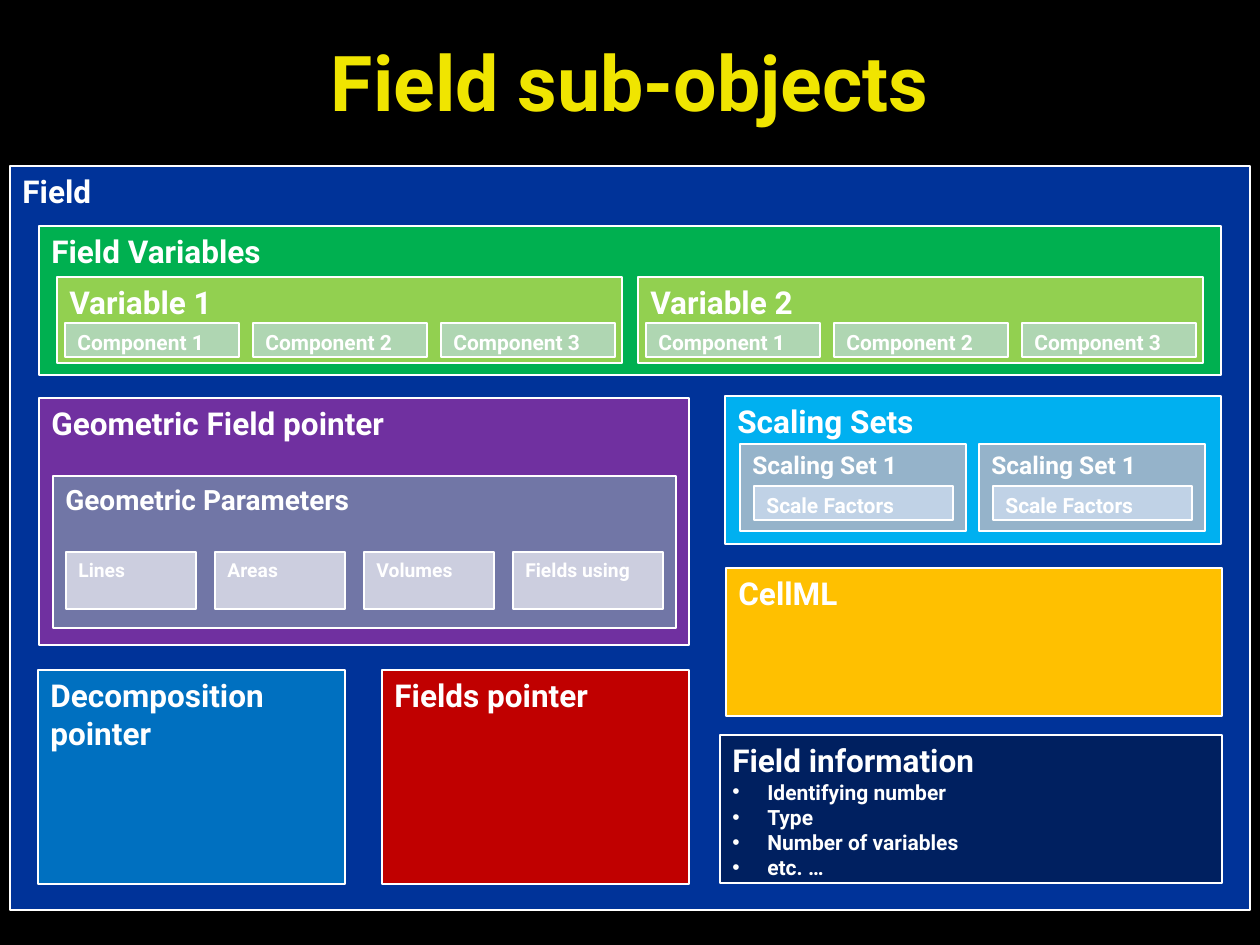
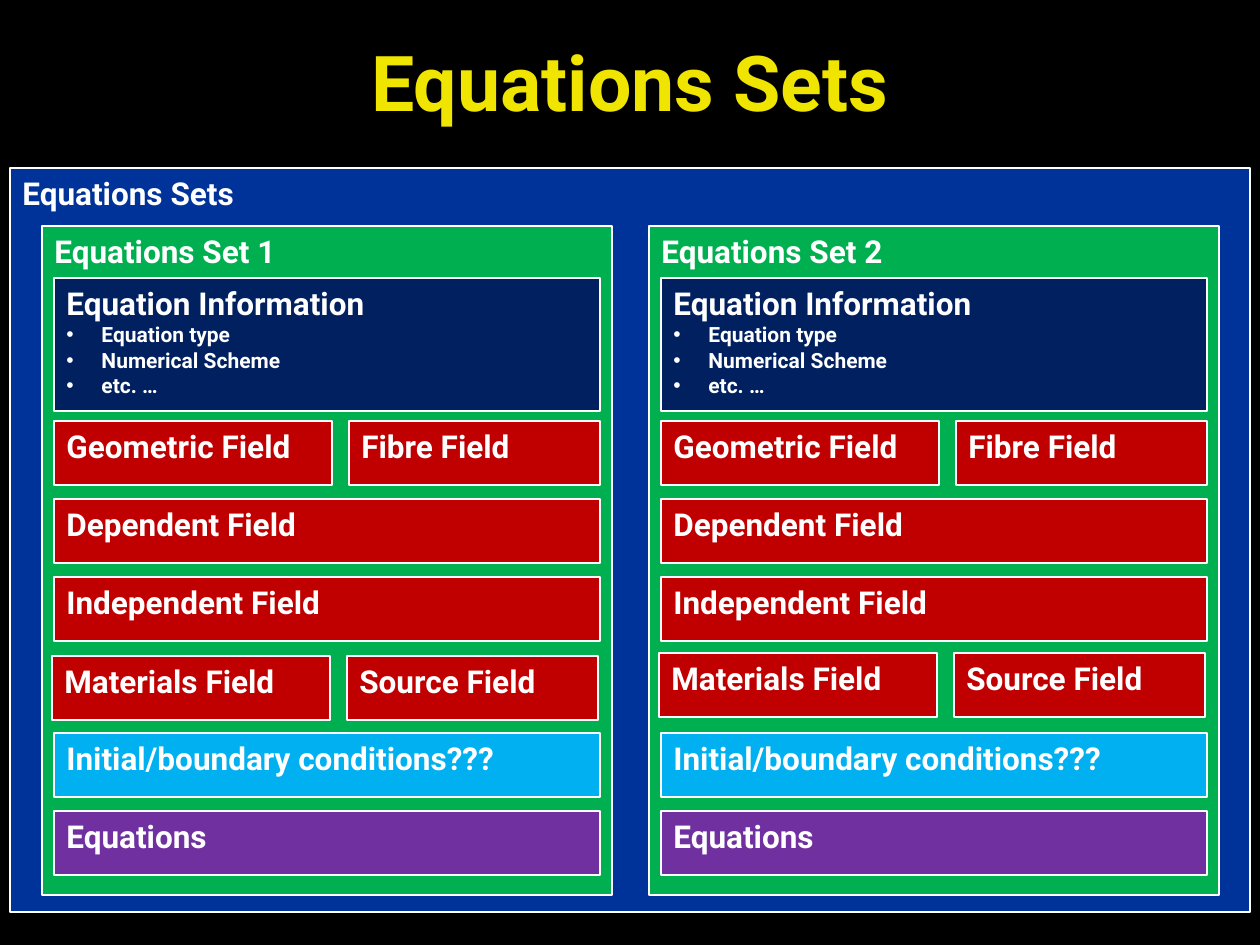
import pptx
import pptx.dml.color
import pptx.enum.shapes
import pptx.enum.text
import pptx.util
from lxml import etree
from pptx.oxml.ns import qn

PIXELS_PER_INCH = 126
FONT = "Roboto"
COLOURS = {
    "background": "000000",
    "title": "F0E500",
    "white": "FFFFFF",
    "container": "003399",
    "information": "002060",
    "field": "C00000",
    "decomposition": "0070C0",
    "purple": "7030A0",
    "parameters": "7176A6",
    "parameter": "CCCEDF",
    "green": "00B050",
    "variable": "92D050",
    "component": "AFD6B2",
    "sky": "00B0F0",
    "scaling set": "95B3CA",
    "scale factors": "C0D2E6",  # dark enough for its white label to be read
    "cellml": "FFC000",
}


def px(length):
    return pptx.util.Emu(round(length * 914400 / PIXELS_PER_INCH))


def colour(name):
    return pptx.dml.color.RGBColor.from_string(COLOURS[name])


def write_text(paragraph, text, size=18, color="white", align="LEFT", bullet=False):
    paragraph.alignment = getattr(pptx.enum.text.PP_ALIGN, align)
    if bullet:
        properties = paragraph._p.get_or_add_pPr()
        properties.set("marL", str(px(35)))
        properties.set("indent", str(-px(35)))
        etree.SubElement(properties, qn("a:buFont")).set("typeface", "Arial")
        etree.SubElement(properties, qn("a:buChar")).set("char", "•")
    run = paragraph.add_run()
    run.text = text
    run.font.name = FONT
    run.font.size = pptx.util.Pt(size)
    run.font.bold = True
    run.font.color.rgb = colour(color)


def add_titled_slide(presentation, title):
    slide = presentation.slides.add_slide(presentation.slide_layouts[5])
    shape = slide.shapes.title
    shape.left, shape.top, shape.width, shape.height = px(0), px(2), px(1260), px(158)
    frame = shape.text_frame
    frame.auto_size = pptx.enum.text.MSO_AUTO_SIZE.NONE
    frame.vertical_anchor = pptx.enum.text.MSO_ANCHOR.MIDDLE
    write_text(frame.paragraphs[0], title, size=44, color="title", align="CENTER")
    return slide


def add_box(slide, text, fill, left, top, width, height, size=18, bullets=()):
    """Draw a white-edged box with a heading and optional bullet lines."""
    shape = slide.shapes.add_shape(
        pptx.enum.shapes.MSO_SHAPE.RECTANGLE, px(left), px(top), px(width), px(height))
    shape.shadow.inherit = False
    shape.fill.solid()
    shape.fill.fore_color.rgb = colour(fill)
    shape.line.color.rgb = colour("white")
    shape.line.width = pptx.util.Pt(1)
    frame = shape.text_frame
    frame.word_wrap = True
    frame.vertical_anchor = pptx.enum.text.MSO_ANCHOR.TOP
    write_text(frame.paragraphs[0], text, size=size)
    for line in bullets:
        write_text(frame.add_paragraph(), line, size=12, bullet=True)


def add_variable(slide, number, left):
    add_box(slide, f"Variable {number}", "variable", left, 277, 565, 86)
    for index in range(3):
        add_box(slide, f"Component {index + 1}", "component",
                left + 8 + 188 * index, 323, 174, 34, size=12)


def add_scaling_set(slide, left):
    add_box(slide, "Scaling Set 1", "scaling set", left, 444, 226, 87, size=14)
    add_box(slide, "Scale Factors", "scale factors", left + 14, 486, 199, 34, size=12)


def add_geometric_field(slide):
    add_box(slide, "Geometric Field pointer", "purple", 39, 398, 650, 247)
    add_box(slide, "Geometric Parameters", "parameters", 53, 476, 623, 152, size=16)
    widths = {"Lines": 130, "Areas": 130, "Volumes": 130, "Fields using": 150}
    for index, (name, width) in enumerate(widths.items()):
        add_box(slide, name, "parameter", 66 + 149 * index, 552, width, 57, size=11)


def add_equations_set(slide, number, left, materials_top):
    add_box(slide, f"Equations Set {number}", "green", left, 226, 570, 669)
    inner = left + 12
    add_box(slide, "Equation Information", "information", inner, 278, 546, 133,
            bullets=["Equation type", "Numerical Scheme", "etc. …"])

    # Full-width rows, each on a step of the same row grid
    first_row, row_step, row_height = 421, 78, 64
    rows = [
        (1, "Dependent Field", "field"),
        (2, "Independent Field", "field"),
        (4, "Initial/boundary conditions???", "sky"),
        (5, "Equations", "purple"),
    ]
    for row, name, fill in rows:
        add_box(slide, name, fill, inner, first_row + row * row_step, 546, row_height)

    # Rows split into two fields
    pairs = [
        ("Geometric Field", "Fibre Field", inner, first_row),
        ("Materials Field", "Source Field", inner - 2, materials_top),
    ]
    for wide_name, narrow_name, pair_left, top in pairs:
        add_box(slide, wide_name, "field", pair_left, top, 278, row_height)
        add_box(slide, narrow_name, "field", pair_left + 295, top, 251, row_height)


def build_field_slide(presentation):
    slide = add_titled_slide(presentation, "Field sub-objects")
    add_box(slide, "Field", "container", 10, 166, 1240, 744)

    # Variables and their components
    add_box(slide, "Field Variables", "green", 39, 226, 1182, 149)
    for number, left in ((1, 57), (2, 638)):
        add_variable(slide, number, left)

    # Left column
    add_geometric_field(slide)
    add_box(slide, "Decomposition pointer", "decomposition", 38, 670, 307, 214)
    add_box(slide, "Fields pointer", "field", 382, 670, 307, 214)

    # Right column
    add_box(slide, "Scaling Sets", "sky", 725, 396, 496, 148)
    for left in (740, 979):
        add_scaling_set(slide, left)
    add_box(slide, "CellML", "cellml", 726, 568, 496, 148)
    add_box(slide, "Field information", "information", 720, 735, 502, 148,
            bullets=["Identifying number", "Type", "Number of variables", "etc. …"])


def build_equations_slide(presentation):
    slide = add_titled_slide(presentation, "Equations Sets")
    add_box(slide, "Equations Sets", "container", 10, 168, 1240, 744)
    add_equations_set(slide, 1, left=42, materials_top=656)
    add_equations_set(slide, 2, left=649, materials_top=653)


def main():
    presentation = pptx.Presentation()
    presentation.slide_width = px(1260)
    presentation.slide_height = px(945)
    background = presentation.slide_master.background.fill
    background.solid()
    background.fore_color.rgb = colour("background")
    build_field_slide(presentation)
    build_equations_slide(presentation)
    presentation.save("out.pptx")


if __name__ == "__main__":
    main()
